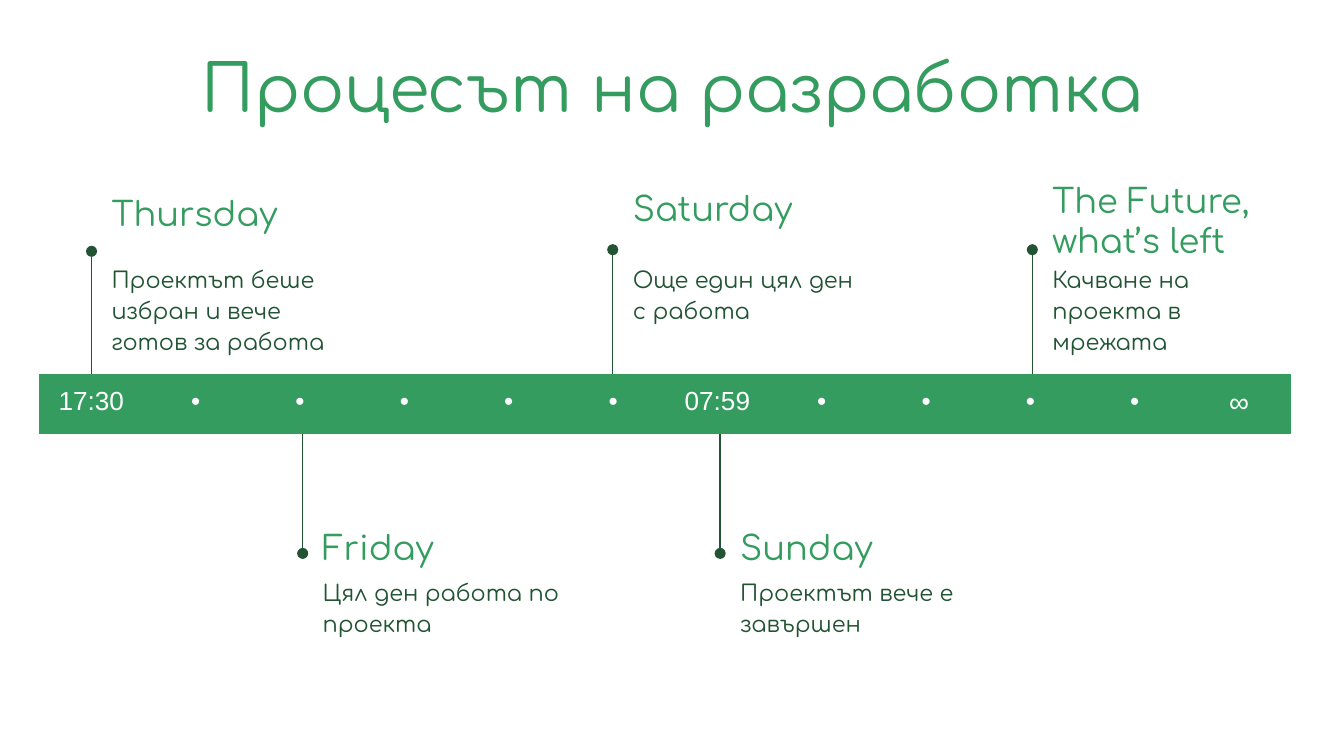
from dataclasses import dataclass

from lxml.etree import SubElement
from pptx import Presentation
from pptx.dml.color import RGBColor
from pptx.enum.shapes import MSO_CONNECTOR as Connector
from pptx.enum.text import MSO_ANCHOR as Anchor, PP_ALIGN as Align
from pptx.oxml.ns import qn
from pptx.slide import Slide
from pptx.text.text import TextFrame
from pptx.util import Cm, Pt


@dataclass(frozen=True)
class Theme:
    green: RGBColor = RGBColor(0x33, 0x9C, 0x5E)
    dark: RGBColor = RGBColor(0x22, 0x53, 0x33)
    white: RGBColor = RGBColor(0xFF, 0xFF, 0xFF)
    display_font: str = "Comfortaa"
    bar_font: str = "Arial"
    title_size: int = 35
    heading_size: int = 18
    body_size: int = 12
    time_size: int = 14
    infinity_size: int = 15
    inset: float = 0.25


@dataclass(frozen=True)
class Event:
    """One stop on the timeline; lengths in centimetres."""
    heading: str
    body: str
    x: float
    heading_top: float
    pin_end: float
    above: bool


THEME = Theme()

# Timeline bar
BAR_LEFT, BAR_TOP, BAR_WIDTH, BAR_HEIGHT = 0.74, 7.06, 23.67, 1.07
TIMES = ["17:30"] + ["•"] * 5 + ["07:59"] + ["•"] * 4 + ["∞"]

# Event labels
LABEL_GAP, LABEL_WIDTH = 0.13, 5.03
HEADING_HEIGHT, BODY_HEIGHT = 1.09, 1.6
BODY_TOP_ABOVE, BODY_TOP_BELOW = 4.7, 10.62

EVENTS = [
    Event("Thursday", "Проектът беше избран и вече готов за работа",
          1.73, 3.48, 4.75, True),
    Event("Friday", "Цял ден работа по проекта", 5.72, 9.8, 10.46, False),
    Event("Saturday", "Още един цял ден с работа", 11.58, 3.38, 4.72, True),
    Event("Sunday", "Проектът вече е завършен", 13.61, 9.8, 10.46, False),
    Event("The Future, what’s left", "Качване на проекта в мрежата",
          19.51, 3.61, 4.72, True),
]


def write_text(frame: TextFrame, text: str, *, size: int, color: RGBColor,
               font: str = THEME.display_font, align: Align = Align.LEFT,
               line_spacing: float = 1.0, space_after: int = 0) -> None:
    para = frame.paragraphs[0]
    para.alignment = align
    para.line_spacing = line_spacing
    para.space_after = Pt(space_after)
    span = para.add_run()
    span.text = text
    span.font.name = font
    span.font.size = Pt(size)
    span.font.color.rgb = color


def add_label(page: Slide, left: float, top: float, width: float, height: float,
              text: str, *, anchor: Anchor = Anchor.TOP, **text_format) -> None:
    box = page.shapes.add_textbox(Cm(left), Cm(top), Cm(width), Cm(height))
    frame = box.text_frame
    frame.word_wrap = True
    frame.vertical_anchor = anchor
    frame.margin_left = frame.margin_right = Cm(THEME.inset)
    frame.margin_top = frame.margin_bottom = Cm(THEME.inset)
    write_text(frame, text, **text_format)


def add_pin(page: Slide, x: float, start: float, end: float) -> None:
    pin = page.shapes.add_connector(Connector.STRAIGHT,
                                    Cm(x), Cm(start), Cm(x), Cm(end))
    pin.line.color.rgb = THEME.dark
    pin.line.width = Pt(0.75)
    SubElement(pin.line._get_or_add_ln(), qn("a:tailEnd"), type="oval")
    SubElement(pin._element.spPr, qn("a:effectLst"))


def add_event(page: Slide, event: Event) -> None:
    left = event.x + LABEL_GAP
    pin_start = BAR_TOP if event.above else BAR_TOP + BAR_HEIGHT
    body_top = BODY_TOP_ABOVE if event.above else BODY_TOP_BELOW
    add_pin(page, event.x, pin_start, event.pin_end)
    add_label(page, left, event.heading_top, LABEL_WIDTH, HEADING_HEIGHT,
              event.heading, anchor=Anchor.MIDDLE,
              size=THEME.heading_size, color=THEME.green)
    add_label(page, left, body_top, LABEL_WIDTH, BODY_HEIGHT, event.body,
              size=THEME.body_size, color=THEME.dark,
              line_spacing=1.15, space_after=16)


def add_bar(page: Slide) -> None:
    table = page.shapes.add_table(1, len(TIMES), Cm(BAR_LEFT), Cm(BAR_TOP),
                                  Cm(BAR_WIDTH), Cm(BAR_HEIGHT)).table
    table.first_row = table.horz_banding = False
    for column, (cell, time) in enumerate(zip(table.rows[0].cells, TIMES)):
        table.columns[column].width = Cm(BAR_WIDTH / len(TIMES))
        cell.margin_left = cell.margin_right = Cm(THEME.inset)
        cell.margin_top = cell.margin_bottom = Cm(THEME.inset)
        # Borders come before the fill in the cell properties
        properties = cell._tc.get_or_add_tcPr()
        for side in ("a:lnL", "a:lnR", "a:lnT", "a:lnB"):
            SubElement(SubElement(properties, qn(side)), qn("a:noFill"))
        cell.fill.solid()
        cell.fill.fore_color.rgb = THEME.green
        size = THEME.infinity_size if time == "∞" else THEME.time_size
        write_text(cell.text_frame, time, size=size, color=THEME.white,
                   font=THEME.bar_font, align=Align.CENTER)


def main() -> None:
    deck = Presentation()
    deck.slide_width, deck.slide_height = Cm(25.4), Cm(14.29)
    page = deck.slides.add_slide(deck.slide_layouts[6])

    # Title
    add_label(page, 1.68, 0.64, 22.05, 2.72, "Процесът на разработка",
              size=THEME.title_size, color=THEME.green, align=Align.CENTER)

    # Events, then the bar over the pin ends
    for event in EVENTS:
        add_event(page, event)
    add_bar(page)

    deck.save("out.pptx")


if __name__ == "__main__":
    main()
